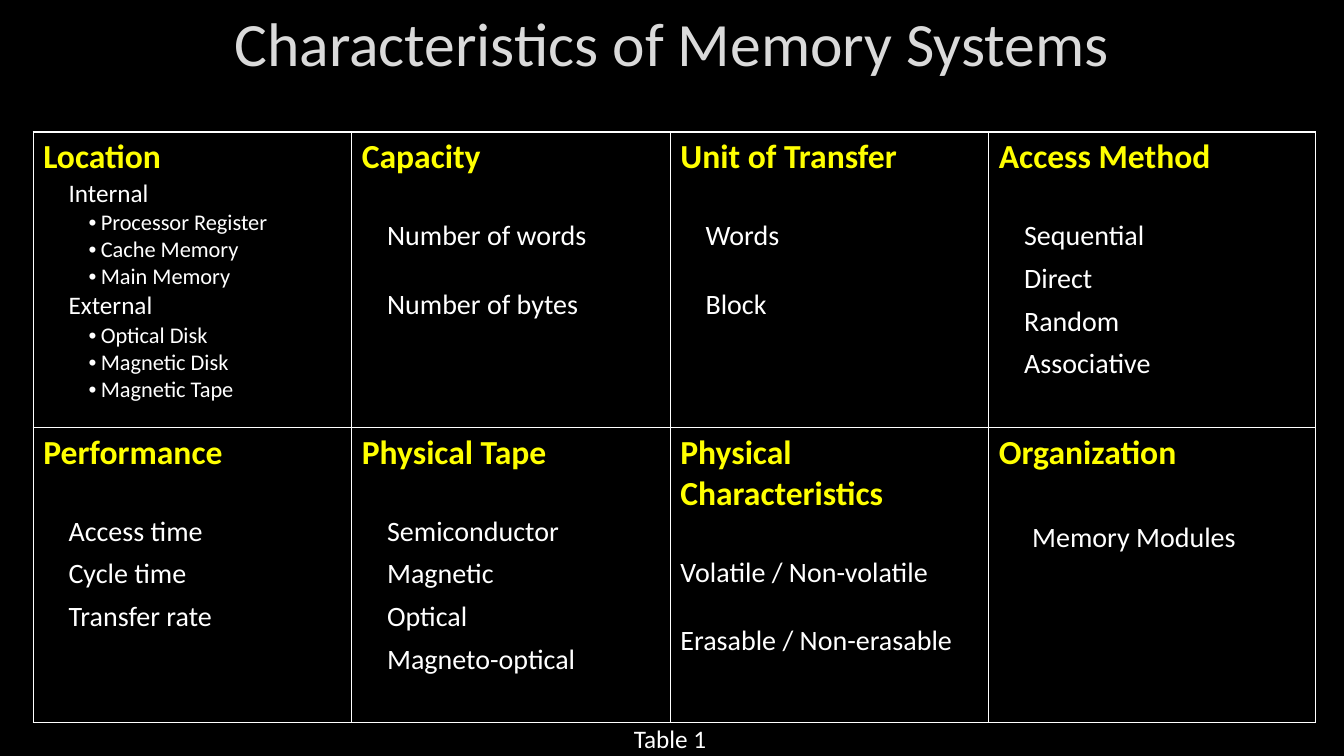
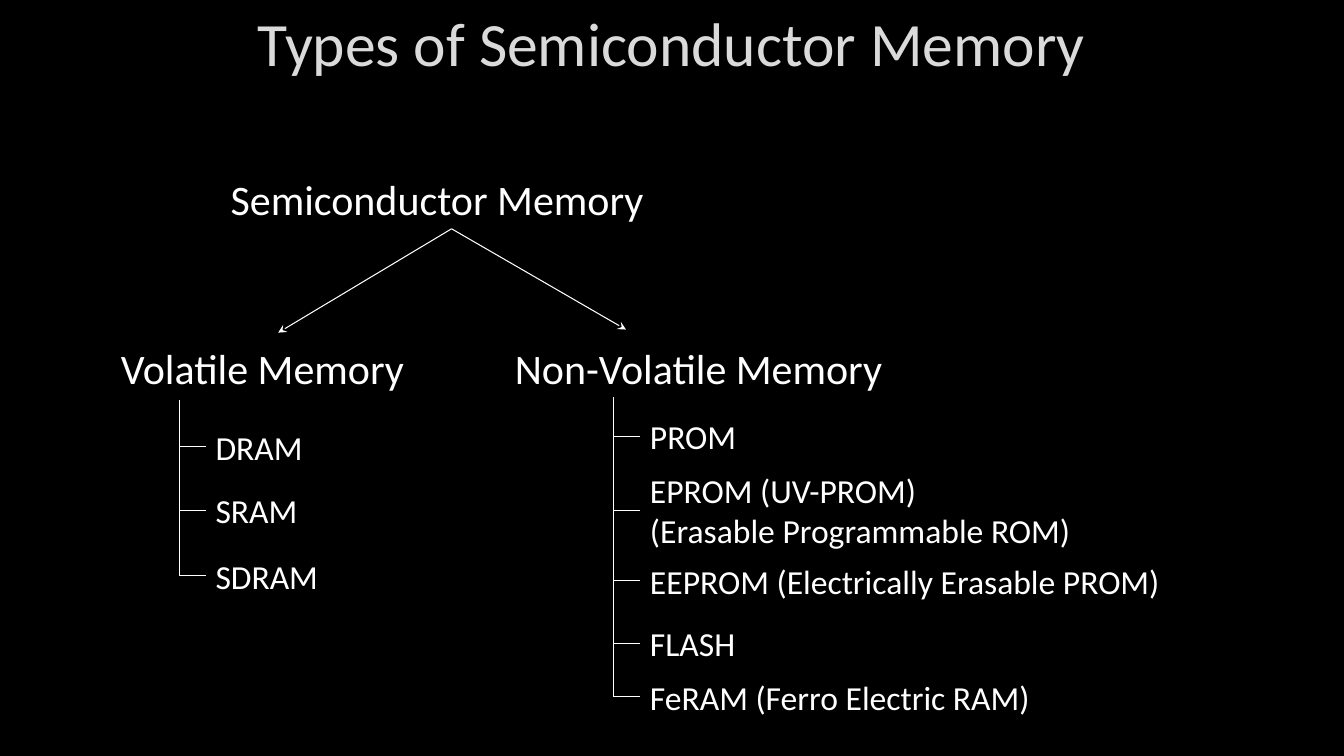
from dataclasses import dataclass

import pptx
import pptx.dml.color
import pptx.enum.shapes
import pptx.enum.text
import pptx.oxml
import pptx.oxml.ns
import pptx.util

BLACK = pptx.dml.color.RGBColor(0x00, 0x00, 0x00)
WHITE = pptx.dml.color.RGBColor(0xFF, 0xFF, 0xFF)
YELLOW = pptx.dml.color.RGBColor(0xFF, 0xFF, 0x00)
SILVER = pptx.dml.color.RGBColor(0xDA, 0xDA, 0xDA)
FONT = "Calibri"

# The grid has ten columns and ten rows to the inch.
COLUMNS, ROWS = 133.33, 75
HEADING_LINE = 29.3  # height in points of one line at 24 pt
ENTRY_LINE = 24.4  # height in points of one line at 20 pt


def grid(cells):
    return pptx.util.Inches(cells / 10)


def add_xml(parent, tag, **attributes):
    child = pptx.oxml.parse_xml(f"<a:{tag} {pptx.oxml.ns.nsdecls('a')}/>")
    for name, value in attributes.items():
        child.set(name, str(value))
    parent.append(child)
    return child


@dataclass
class Entry:
    """One paragraph of a table cell; indents are in grid columns."""
    text: str
    size: int = 20
    indent: float = 2.5
    before: float = 0
    bullet: bool = False
    color: pptx.dml.color.RGBColor = WHITE
    bold: bool = False


def heading(text):
    return Entry(text, size=24, indent=0, color=YELLOW, bold=True)


def spaced(title, *texts, lead=HEADING_LINE, gap=6, indent=2.5):
    """A cell whose entries start after a lead and are set apart by a gap."""
    return [heading(title)] + [
        Entry(text, indent=indent, before=gap if number else lead)
        for number, text in enumerate(texts)]


def outline(title, groups):
    """A cell of named groups, each with a bulleted list."""
    entries = [heading(title)]
    for group, items in groups.items():
        entries.append(Entry(group, size=18))
        entries += [Entry(item, size=16, indent=5.7, bullet=True)
                    for item in items]
    return entries


class Deck:
    def __init__(self):
        self.presentation = pptx.Presentation()
        self.presentation.slide_width = grid(COLUMNS)
        self.presentation.slide_height = grid(ROWS)
        background = self.presentation.slide_master.background.fill
        background.solid()
        background.fore_color.rgb = BLACK
        self.slide = None

    def style(self, paragraph, size, color=WHITE, bold=False):
        font = paragraph.font
        font.name, font.size, font.bold = FONT, pptx.util.Pt(size), bold
        font.color.rgb = color

    def new_slide(self, text):
        layout = self.presentation.slide_layouts.get_by_name("Title Only")
        self.slide = self.presentation.slides.add_slide(layout)
        title = self.slide.shapes.title
        title.left, title.top = 0, 0
        title.width, title.height = grid(COLUMNS), grid(9)
        frame = title.text_frame
        frame.text = text
        frame.auto_size = pptx.enum.text.MSO_AUTO_SIZE.NONE
        frame.vertical_anchor = pptx.enum.text.MSO_ANCHOR.TOP
        paragraph = frame.paragraphs[0]
        paragraph.alignment = pptx.enum.text.PP_ALIGN.CENTER
        self.style(paragraph, 44, SILVER)

    def label(self, text, left, middle, width, size):
        """Text, one paragraph a line, centred on a row of the grid."""
        height = size / 5 * len(text.splitlines())
        box = self.slide.shapes.add_textbox(
            grid(left), grid(middle - height / 2), grid(width), grid(height))
        frame = box.text_frame
        frame.word_wrap = True
        frame.vertical_anchor = pptx.enum.text.MSO_ANCHOR.MIDDLE
        frame.text = text
        for paragraph in frame.paragraphs:
            self.style(paragraph, size)

    def line(self, start, end, arrow=False):
        connector = self.slide.shapes.add_connector(
            pptx.enum.shapes.MSO_CONNECTOR.STRAIGHT,
            *(grid(cells) for cells in (*start, *end)))
        connector.line.color.rgb = WHITE
        connector.line.width = pptx.util.Pt(0.75)
        if arrow:
            add_xml(connector.line._get_or_add_ln(), "tailEnd", type="stealth")
        add_xml(connector._element.spPr, "effectLst")

    def branch(self, left, top, items):
        """A stem with a tick and a label at the row of each item."""
        self.line((left, top), (left, max(items)))
        for row, text in items.items():
            self.line((left, row), (left + 2.6, row))
            self.label(text, left + 2.6, row, 62, 24)

    def table(self, left, top, widths, row_height, content):
        table = self.slide.shapes.add_table(
            len(content), len(widths), grid(left), grid(top),
            grid(sum(widths)), grid(row_height * len(content))).table
        table.first_row = table.horz_banding = False
        for column, width in zip(table.columns, widths):
            column.width = grid(width)
        for row, cells in zip(table.rows, content):
            row.height = grid(row_height)
            for cell, entries in zip(row.cells, cells):
                self.fill_cell(cell, entries)

    def fill_cell(self, cell, entries):
        properties = cell._tc.get_or_add_tcPr()
        for side in "LRTB":
            border = add_xml(properties, f"ln{side}", w=pptx.util.Pt(1))
            add_xml(add_xml(border, "solidFill"), "srgbClr", val=WHITE)
        cell.fill.solid()
        cell.fill.fore_color.rgb = BLACK
        cell.text_frame.text = "\n".join(entry.text for entry in entries)
        for paragraph, entry in zip(cell.text_frame.paragraphs, entries):
            paragraph.space_before = pptx.util.Pt(entry.before)
            layout = paragraph._p.get_or_add_pPr()
            layout.set("marL", str(grid(entry.indent)))
            if entry.bullet:
                layout.set("indent", str(grid(-1.2)))
                add_xml(layout, "buFont", typeface="Arial")
                add_xml(layout, "buChar", char="•")
            self.style(paragraph, entry.size, entry.color, entry.bold)


def add_characteristics(deck):
    deck.new_slide("Characteristics of Memory Systems")
    deck.table(3.3, 13.1, [31.6, 31.6, 31.6, 32.4], 29.3, [
        [
            outline("Location", {
                "Internal": ["Processor Register", "Cache Memory",
                             "Main Memory"],
                "External": ["Optical Disk", "Magnetic Disk",
                             "Magnetic Tape"],
            }),
            spaced("Capacity", "Number of words", "Number of bytes",
                   gap=ENTRY_LINE),
            spaced("Unit of Transfer", "Words", "Block", gap=ENTRY_LINE),
            spaced("Access Method", "Sequential", "Direct", "Random",
                   "Associative"),
        ],
        [
            spaced("Performance", "Access time", "Cycle time",
                   "Transfer rate"),
            spaced("Physical Tape", "Semiconductor", "Magnetic", "Optical",
                   "Magneto-optical"),
            spaced("Physical Characteristics", "Volatile / Non-volatile",
                   "Erasable / Non-erasable", gap=ENTRY_LINE, indent=0),
            spaced("Organization", "Memory Modules", lead=34, indent=3.3),
        ],
    ])
    deck.label("Table 1", 61.9, 73.3, 12, 18)


def add_memory_types(deck):
    deck.new_slide("Types of Semiconductor Memory")
    root = (44.8, 22.7)
    deck.label("Semiconductor Memory", 21.9, 19.7, 48, 30)
    for end in ((27.6, 33), (62.1, 32.7)):
        deck.line(root, end, arrow=True)
    deck.label("Volatile Memory", 11, 36.5, 35, 30)
    deck.label("Non-Volatile Memory", 50.1, 36.5, 44, 30)
    deck.branch(17.8, 39.7, {44.3: "DRAM", 50.6: "SRAM", 57.1: "SDRAM"})
    deck.branch(60.9, 39.4, {
        43.3: "PROM",
        50.6: "EPROM (UV-PROM)\n(Erasable Programmable ROM)",
        57.6: "EEPROM (Electrically Erasable PROM)",
        63.8: "FLASH",
        69.1: "FeRAM (Ferro Electric RAM)",
    })


def main():
    deck = Deck()
    add_characteristics(deck)
    add_memory_types(deck)
    deck.presentation.save("out.pptx")


if __name__ == "__main__":
    main()
